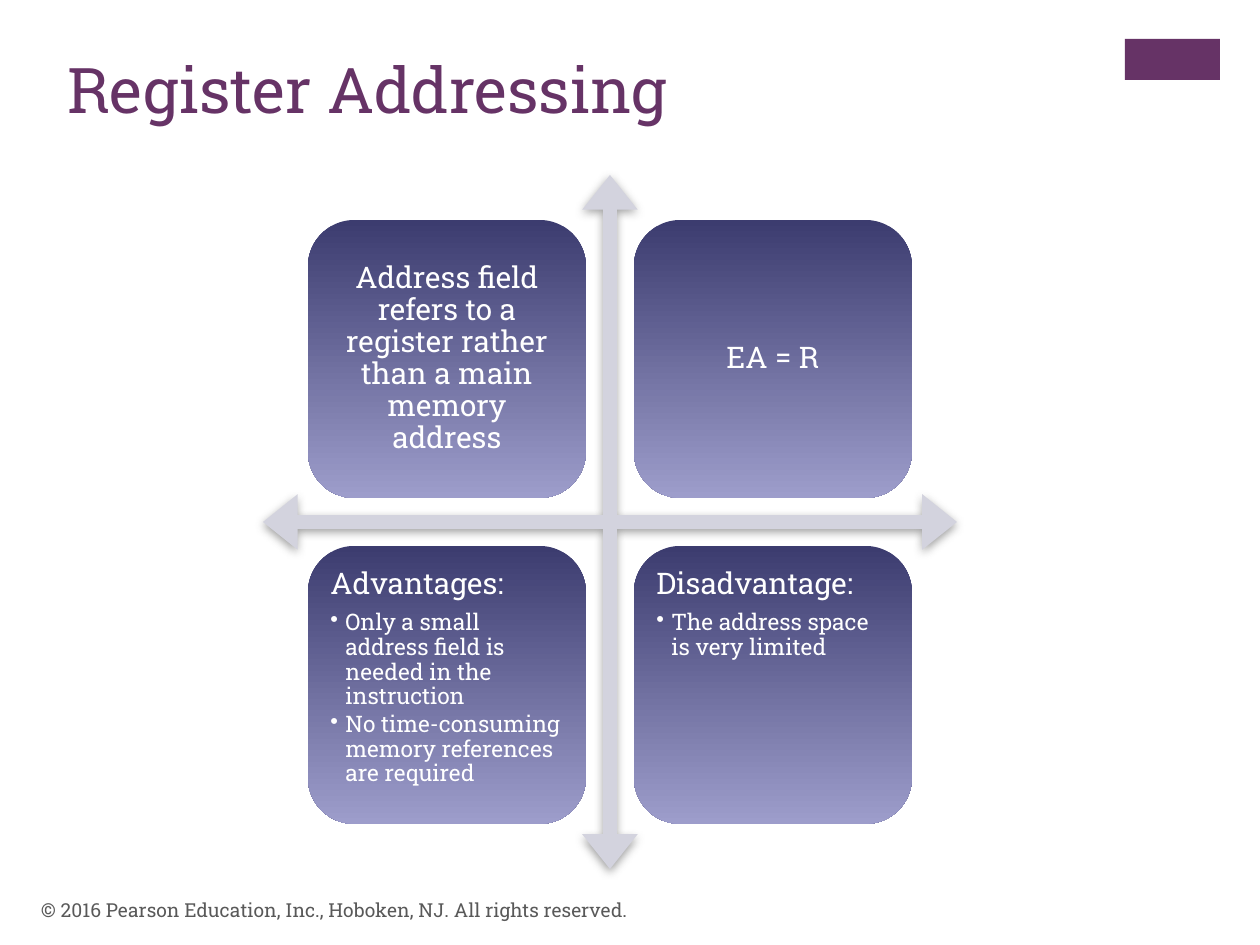
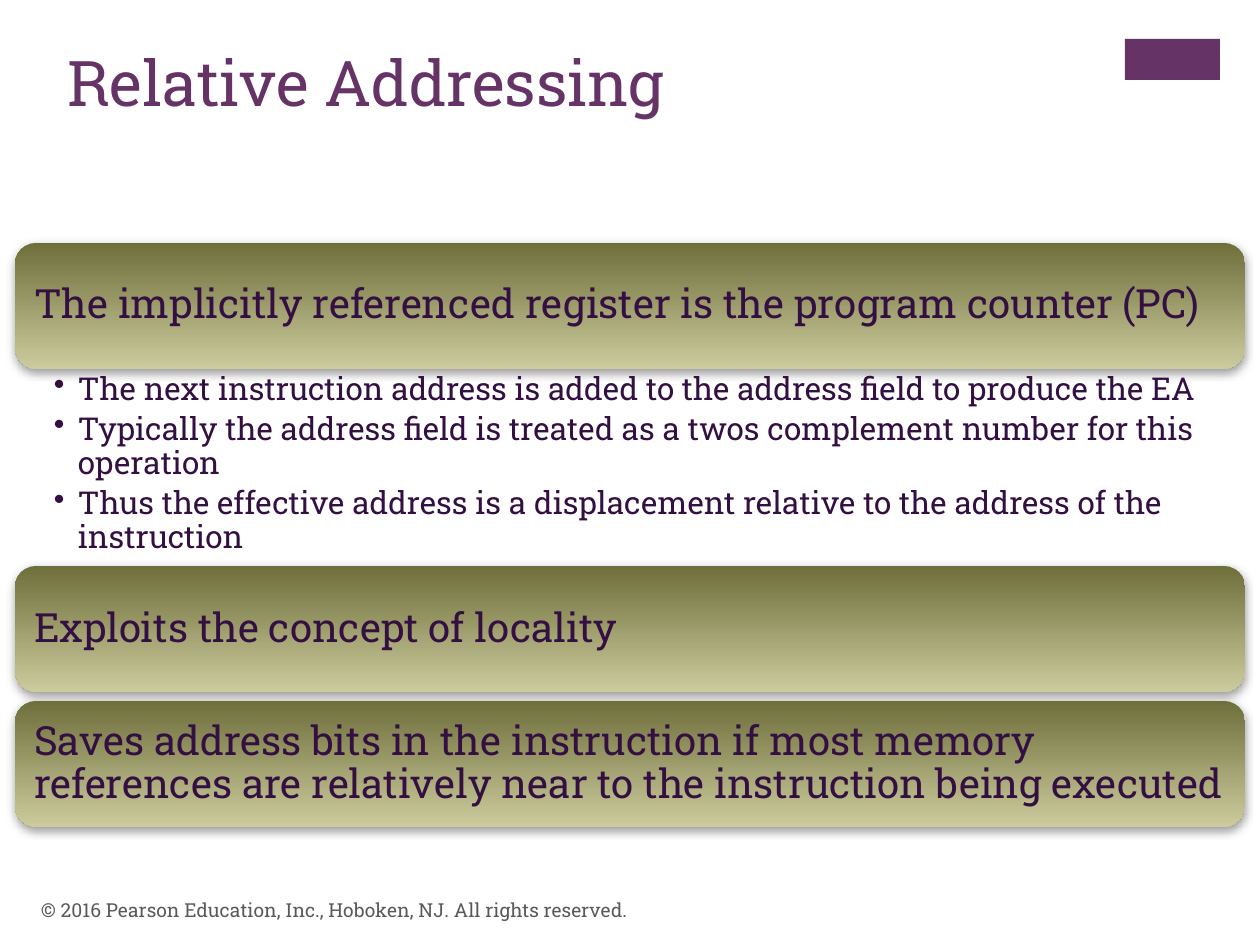
import pptx
import pptx.dml.color
import pptx.enum.shapes
import pptx.enum.text
import pptx.util
from lxml import etree

PX = 914400 // 126
FONT = "Roboto Slab"
PURPLE, GREY, WHITE, PLUM = "663366", "595959", "FFFFFF", "330F42"
BLUES, OLIVES = ("3C3C6F", "9D9DCB"), ("6F6F3C", "CBCB9D")
NOTE = "© 2016 Pearson Education, Inc., Hoboken, NJ. All rights reserved."
DRAWML = "http://schemas.openxmlformats.org/drawingml/2006/main"

KIND = pptx.enum.shapes.MSO_SHAPE
ALIGN = pptx.enum.text.PP_ALIGN
ANCHOR = pptx.enum.text.MSO_ANCHOR
Pt = pptx.util.Pt
hue = pptx.dml.color.RGBColor.from_string


def draw(slide, kind, place, tints, shade=False):
    """Add a shape with one flat tint, or two that blend downwards."""
    shape = slide.shapes.add_shape(kind, *[n * PX for n in place])
    shape.line.fill.background()
    if len(tints) == 1:
        shape.fill.solid()
        shape.fill.fore_color.rgb = hue(tints[0])
    else:
        shape.fill.gradient()
        shape.fill.gradient_angle = 270
        for stop, tint in zip(shape.fill.gradient_stops, tints):
            stop.color.rgb = hue(tint)
    shape.shadow.inherit = False
    if shade:
        effects = shape._element.spPr.find(f"{{{DRAWML}}}effectLst")
        effects.append(etree.fromstring(
            f'<a:outerShdw xmlns:a="{DRAWML}" blurRad="63500" dist="25400" '
            'dir="5400000" rotWithShape="0"><a:srgbClr val="808080">'
            '<a:alpha val="75000"/></a:srgbClr></a:outerShdw>'))
    return shape


def write(shape, lines, color, pads=(13, 6, 13, 6), anchor=ANCHOR.TOP,
          align=ALIGN.LEFT, space=0.9):
    """Fill a shape with lines of (text, size, bullet indent, gap after)."""
    frame = shape.text_frame
    frame.word_wrap = True
    frame.auto_size = pptx.enum.text.MSO_AUTO_SIZE.NONE
    frame.vertical_anchor = anchor
    (frame.margin_left, frame.margin_top,
     frame.margin_right, frame.margin_bottom) = [n * PX for n in pads]
    frame.text = "\n".join(line[0] for line in lines)
    for para, (_, size, indent, gap) in zip(frame.paragraphs, lines):
        if indent:
            props = para._p.get_or_add_pPr()
            props.set("marL", str(indent * PX))
            props.set("indent", str(-indent * PX))
            etree.SubElement(props, f"{{{DRAWML}}}buChar", char="•")
        para.alignment = align
        para.line_spacing = space
        para.space_before = Pt(0)
        para.space_after = Pt(gap)
        for run in para.runs:
            run.font.name = FONT
            run.font.size = Pt(size)
            run.font.color.rgb = hue(color)


deck = pptx.Presentation()
deck.slide_width = pptx.util.Inches(10)
deck.slide_height = pptx.util.Inches(7.5)

# Shared title, tab and footer
slides = []
for text, top in (("Register Addressing", 45), ("Relative Addressing", 37)):
    slide = deck.slides.add_slide(deck.slide_layouts[5])
    draw(slide, KIND.RECTANGLE, (1125, 39, 95, 41), [PURPLE])
    foot = slide.shapes.add_textbox(*[n * PX for n in (28, 885, 844, 50)])
    write(foot, [(NOTE, 11, 0, 0)], GREY, anchor=ANCHOR.MIDDLE, space=1.0)
    title = slide.shapes.title
    title.left, title.top = 54 * PX, top * PX
    title.width, title.height = 1041 * PX, 154 * PX
    write(title, [(text, 36, 0, 0)], PURPLE, space=1.0)
    slides.append(slide)
register, relative = slides

# Four tiles around a cross of arrows
cross = draw(register, KIND.QUAD_ARROW, (263, 175, 694, 694), ["D3D3DE"], True)
for i, value in enumerate((0.02, 0.04, 0.05)):
    cross.adjustments[i] = value

tiles = [
    ["Address field refers to a register rather than a main memory address"],
    ["EA = R"],
    ["Advantages:",
     "Only a small address field is needed in the instruction",
     "No time-consuming memory references are required"],
    ["Disadvantage:", "The address space is very limited"],
]
for i, (head, *points) in enumerate(tiles):
    row, col = divmod(i, 2)
    tile = draw(register, KIND.ROUNDED_RECTANGLE,
                (308 + 326 * col, 220 + 326 * row, 278, 278), BLUES)
    lines = [(head, 17, 0, 6)] + [(point, 13, 15, 2) for point in points]
    write(tile, lines, WHITE, (9, 9, 9, 9),
          ANCHOR.TOP if points else ANCHOR.MIDDLE,
          ALIGN.LEFT if points else ALIGN.CENTER)

# Three bars, with details under the first
bars = [
    (243, "The implicitly referenced register is the program counter (PC)"),
    (566, "Exploits the concept of locality"),
    (701, "Saves address bits in the instruction if most memory references "
          "are relatively near to the instruction being executed"),
]
for top, text in bars:
    bar = draw(relative, KIND.ROUNDED_RECTANGLE, (15, top, 1230, 126),
               OLIVES, True)
    write(bar, [(text, 23, 0, 8)], PLUM, (13, 13, 13, 13), ANCHOR.MIDDLE)

points = [
    "The next instruction address is added to the address field to produce "
    "the EA",
    "Typically the address field is treated as a twos complement number for "
    "this operation",
    "Thus the effective address is a displacement relative to the address of "
    "the instruction",
]
notes = relative.shapes.add_textbox(*[n * PX for n in (15, 369, 1230, 197)])
write(notes, [(point, 18, 24, 3.6) for point in points], PLUM, (39, 4, 23, 4))

deck.save("out.pptx")
